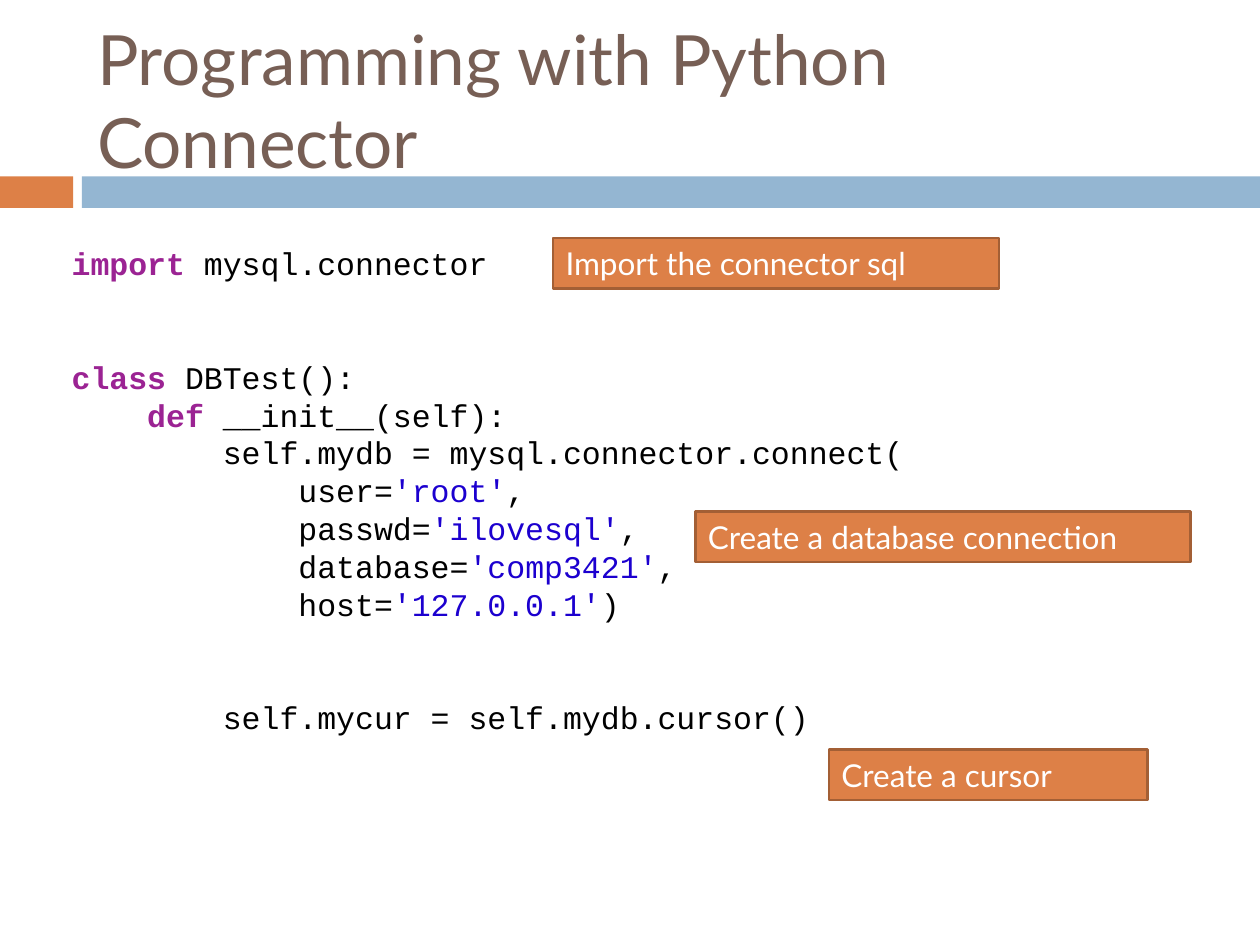
from dataclasses import dataclass

from pptx import Presentation
from pptx.dml.color import RGBColor
from pptx.enum.shapes import MSO_SHAPE
from pptx.enum.text import MSO_ANCHOR, MSO_AUTO_SIZE, PP_ALIGN
from pptx.util import Inches, Pt

RECTANGLE = MSO_SHAPE.RECTANGLE
TOP, MIDDLE = MSO_ANCHOR.TOP, MSO_ANCHOR.MIDDLE
NO_AUTOFIT = MSO_AUTO_SIZE.NONE
LEFT = PP_ALIGN.LEFT
TITLE_ONLY = 5


@dataclass(frozen=True)
class Theme:
    title: str = "775F55"
    orange: str = "DD8047"
    orange_edge: str = "A35F35"
    blue: str = "94B6D2"
    white: str = "FFFFFF"
    plain: str = "000000"
    keyword: str = "9B2393"
    string: str = "1C00CF"
    text_font: str = "Lato"
    code_font: str = "Courier New"
    title_size: float = 39.6
    text_size: float = 18
    code_pitch: float = 21.6
    indent: float = 0.6  # four code characters, in inches


class SlideBuilder:
    def __init__(self, slide, theme):
        self.slide = slide
        self.theme = theme

    def frame(self, shape, anchor):
        text_frame = shape.text_frame
        values = {"word_wrap": True, "auto_size": NO_AUTOFIT, "vertical_anchor": anchor}
        for name, value in values.items():
            setattr(text_frame, name, value)
        return text_frame

    def run(self, paragraph, text, color, font, size, bold=False):
        run = paragraph.add_run()
        run.text = text
        for name, value in {"name": font, "size": Pt(size), "bold": bold}.items():
            setattr(run.font, name, value)
        run.font.color.rgb = RGBColor.from_string(color)

    def title(self, text, box):
        shape = self.slide.shapes.title
        for name, value in zip(("left", "top", "width", "height"), box):
            setattr(shape, name, Inches(value))
        paragraph = self.frame(shape, MIDDLE).paragraphs[0]
        paragraph.alignment = LEFT
        self.run(paragraph, text, self.theme.title, self.theme.text_font, self.theme.title_size)

    def rectangle(self, box, fill, edge=None):
        shape = self.slide.shapes.add_shape(RECTANGLE, *map(Inches, box))
        shape.shadow.inherit = False
        shape.fill.solid()
        shape.fill.fore_color.rgb = RGBColor.from_string(fill)
        if edge:
            shape.line.color.rgb = RGBColor.from_string(edge)
            shape.line.width = Pt(1.5)
        else:
            shape.line.fill.background()
        return shape

    def callout(self, text, left, top, width):
        theme = self.theme
        shape = self.rectangle((left, top, width, 0.4), theme.orange, theme.orange_edge)
        paragraph = self.frame(shape, TOP).paragraphs[0]
        paragraph.alignment = LEFT
        self.run(paragraph, text, theme.white, theme.text_font, theme.text_size)

    def code(self, lines, box):
        theme = self.theme
        shape = self.slide.shapes.add_textbox(*map(Inches, box))
        text_frame = self.frame(shape, TOP)
        for index, (level, skipped, parts) in enumerate(lines):
            paragraph = text_frame.add_paragraph() if index else text_frame.paragraphs[0]
            paragraph.line_spacing = Pt(theme.code_pitch)
            paragraph.space_before = Pt(skipped * theme.code_pitch)
            properties = paragraph._p.get_or_add_pPr()
            properties.set("marL", str(Inches(level * theme.indent)))
            properties.set("indent", "0")
            for text, color in parts:
                self.run(paragraph, text, color, theme.code_font, theme.text_size,
                         bold=color == theme.keyword)


theme = Theme()
presentation = Presentation()
presentation.slide_width, presentation.slide_height = Inches(10), Inches(7.5)
slide = presentation.slides.add_slide(presentation.slide_layouts[TITLE_ONLY])
builder = SlideBuilder(slide, theme)

# Header
builder.rectangle((0, 1.4, 0.58, 0.25), theme.orange)
builder.rectangle((0.65, 1.4, 9.35, 0.25), theme.blue)
builder.title("Programming with Python Connector", (0.67, 0.25, 8.92, 1.08))

# Code: indent level, skipped lines before, coloured parts
arguments = [("user", "root", ","), ("passwd", "ilovesql", ","),
             ("database", "comp3421", ","), ("host", "127.0.0.1", ")")]
code_lines = [
    (0, 0, [("import ", theme.keyword), ("mysql.connector", theme.plain)]),
    (0, 2, [("class ", theme.keyword), ("DBTest():", theme.plain)]),
    (1, 0, [("def", theme.keyword), (" __init__(self):", theme.plain)]),
    (2, 0, [("self.mydb = mysql.connector.connect(", theme.plain)]),
    *[(3, 0, [(f"{name}=", theme.plain), (f"'{value}'", theme.string), (end, theme.plain)])
      for name, value, end in arguments],
    (2, 2, [("self.mycur = self.mydb.cursor()", theme.plain)]),
]
builder.code(code_lines, (0.47, 1.89, 8.71, 4.95))

# Callouts
for callout in [("Import the connector sql", 4.39, 1.89, 3.54),
                ("Create a database connection", 5.52, 4.06, 3.93),
                ("Create a cursor", 6.58, 5.95, 2.53)]:
    builder.callout(*callout)

presentation.save("out.pptx")
